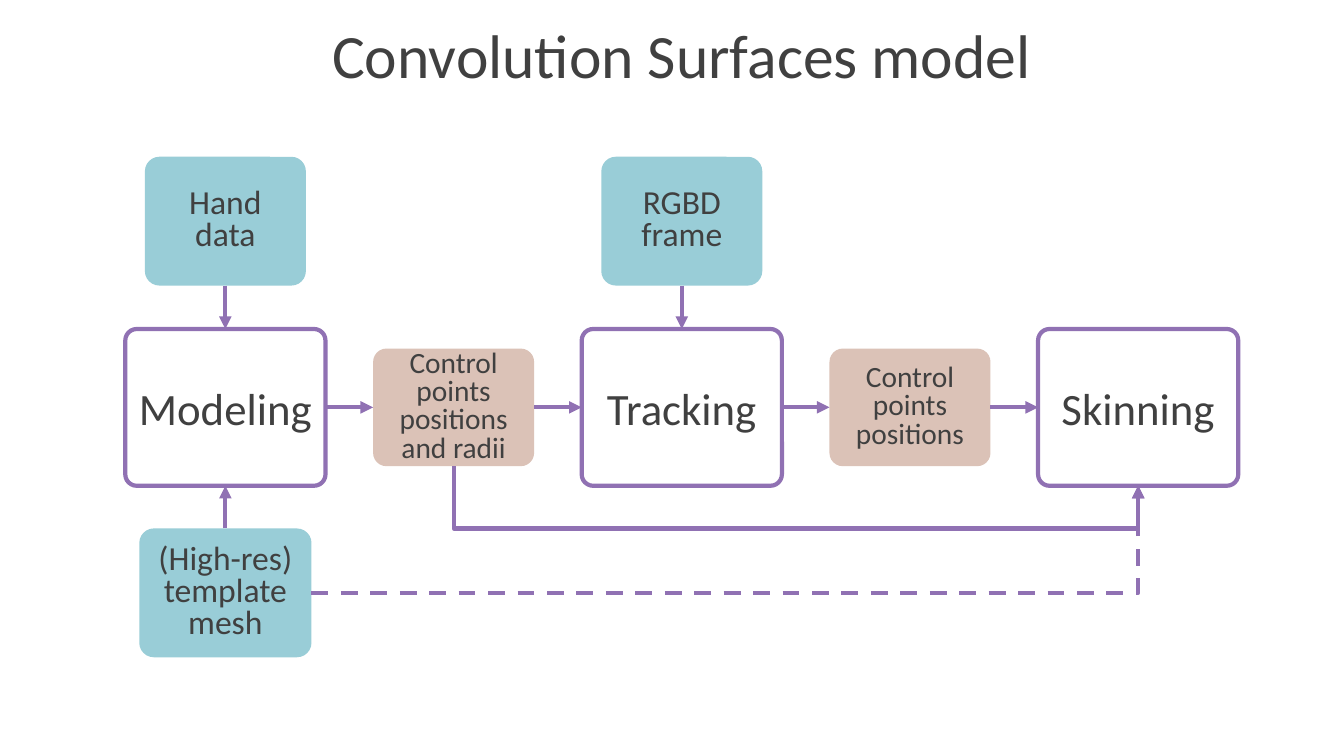
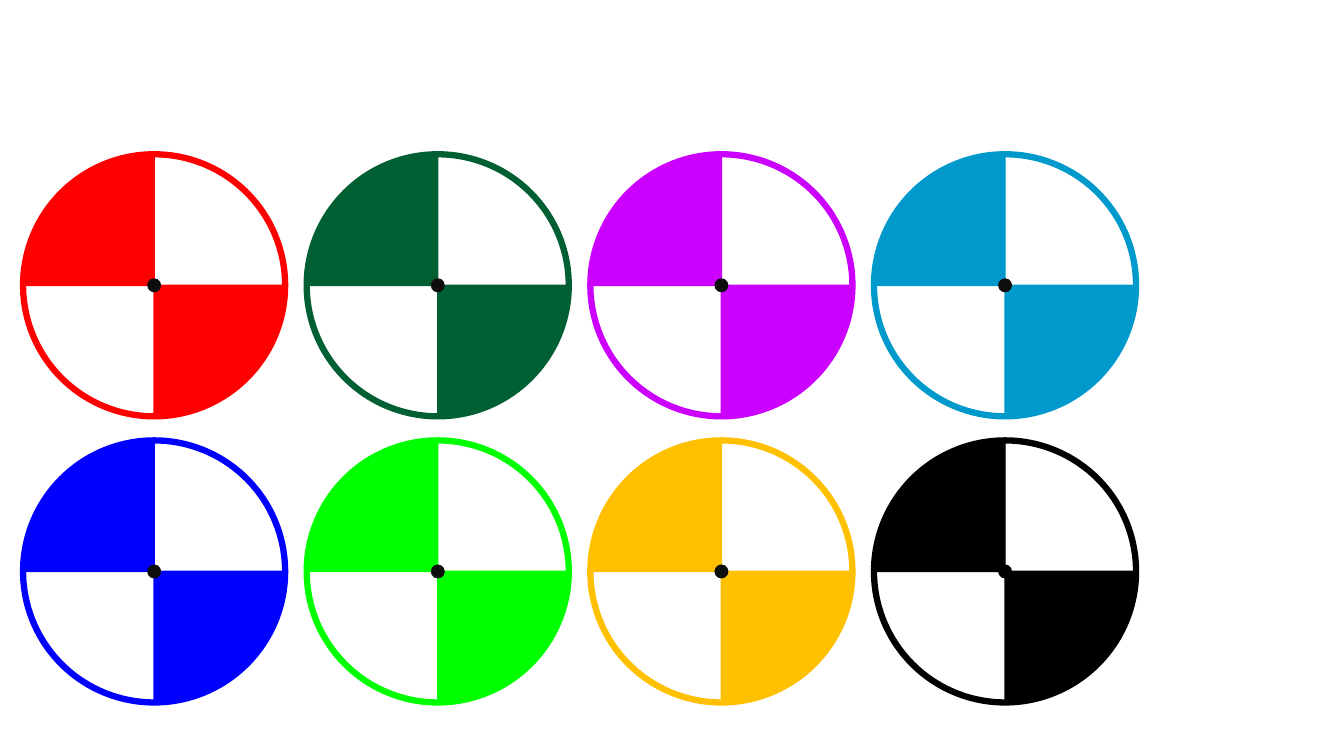
"""Build a flow chart slide of a hand model and a slide of eight colour wheels."""
import dataclasses
import typing

import lxml.etree
import pptx
import pptx.dml.color
import pptx.enum.dml
import pptx.enum.shapes
import pptx.enum.text
import pptx.oxml.ns
import pptx.util

Pt = pptx.util.Pt
qn = pptx.oxml.ns.qn
KIND = pptx.enum.shapes.MSO_SHAPE
WIRE = pptx.enum.shapes.MSO_CONNECTOR
FONT = "Calibri"
INK = {
    "text": "404040", "edge": "9071B3", "white": "FFFFFF",
    "data": "99CDD7", "points": "DBC2B7", "dot": "0D0D0D",
    "red": "FF0000", "pine": "015F34", "purple": "CC00FF", "azure": "0099CC",
    "blue": "0000FF", "lime": "00FF00", "amber": "FFC000", "black": "000000",
}
TOP, LEFT, BOTTOM, RIGHT = range(4)


@dataclasses.dataclass(frozen=True)
class Style:
    width: float
    height: float
    fill: str
    size: float
    round: float = 0.113
    pitch: float = 0.8
    edge: str | None = None


@dataclasses.dataclass(frozen=True)
class Node:
    name: str
    text: str
    style: Style
    col: int
    mid: float


@dataclasses.dataclass(frozen=True)
class Link:
    start: str
    out: int
    end: str
    into: int


STEP = Style(143, 112, "white", 32, 0.073, 1, "edge")
DATA = Style(115, 92, "data", 24)
MESH = dataclasses.replace(DATA, width=123)
POINT = Style(115, 84, "points", 21)
COL, PITCH = 161, 163
HIGH, MID, LOW = 158, 291, 423.5
NODES = [
    Node("model", "Modeling", STEP, 0, MID),
    Node("track", "Tracking", STEP, 2, MID),
    Node("skin", "Skinning", STEP, 4, MID),
    Node("mesh", "(High-res) template mesh", MESH, 0, LOW),
    Node("hand", "Hand data", DATA, 0, HIGH),
    Node("radii", "Control points positions and radii", POINT, 1, MID),
    Node("places", "Control points positions", POINT, 3, MID),
    Node("frame", "RGBD frame", DATA, 2, HIGH),
]
CHAIN = ["model", "radii", "track", "places", "skin"]
LINKS = [
    Link("hand", BOTTOM, "model", TOP),
    Link("mesh", TOP, "model", BOTTOM),
    Link("frame", BOTTOM, "track", TOP),
    *(Link(a, RIGHT, b, LEFT) for a, b in zip(CHAIN, CHAIN[1:])),
]
WHEELS = [["red", "pine", "purple", "azure"], ["blue", "lime", "amber", "black"]]


def tint(name: str) -> pptx.dml.color.RGBColor:
    return pptx.dml.color.RGBColor.from_string(INK[name])


def write(frame: typing.Any, text: str, size: float, pitch: float) -> None:
    frame.word_wrap = True
    frame.vertical_anchor = pptx.enum.text.MSO_ANCHOR.MIDDLE
    para = frame.paragraphs[0]
    para.alignment = pptx.enum.text.PP_ALIGN.CENTER
    para.line_spacing = pitch
    run = para.add_run()
    run.text = text
    run.font.name = FONT
    run.font.size = Pt(size)
    run.font.color.rgb = tint("text")


def draw(shapes: typing.Any, kind: KIND, x: float, y: float, width: float, height: float,
         fill: str | None = None, edge: str | None = None, weight: float = 1) -> typing.Any:
    shape = shapes.add_shape(kind, Pt(x), Pt(y), Pt(width), Pt(height))
    shape.shadow.inherit = False
    if fill:
        shape.fill.solid()
        shape.fill.fore_color.rgb = tint(fill)
    else:
        shape.fill.background()
    if edge:
        shape.line.color.rgb = tint(edge)
        shape.line.width = Pt(weight)
    else:
        shape.line.fill.background()
    return shape


def place(shapes: typing.Any, node: Node) -> typing.Any:
    style = node.style
    x = COL + PITCH * node.col - style.width / 2
    y = node.mid - style.height / 2
    box = draw(shapes, KIND.ROUNDED_RECTANGLE, x, y, style.width, style.height,
               style.fill, style.edge, 3)
    box.adjustments[0] = style.round
    write(box.text_frame, node.text, style.size, style.pitch)
    return box


def join(shapes: typing.Any, boxes: dict[str, typing.Any], link: Link,
         kind: WIRE = WIRE.STRAIGHT, dash: bool = False) -> typing.Any:
    wire = shapes.add_connector(kind, 0, 0, 0, 0)
    wire.begin_connect(boxes[link.start], link.out)
    wire.end_connect(boxes[link.end], link.into)
    wire.line.color.rgb = tint("edge")
    wire.line.width = Pt(3)
    if dash:
        wire.line.dash_style = pptx.enum.dml.MSO_LINE.DASH
    props = wire._element.spPr
    lxml.etree.SubElement(props.find(qn("a:ln")), qn("a:tailEnd"), type="triangle")
    lxml.etree.SubElement(props, qn("a:effectLst"))
    return wire


def dip(wire: typing.Any, level: float) -> None:
    """Turn an elbow so that it drops to a level, runs right and climbs."""
    x, y, width, height = wire.left, wire.top, wire.width, wire.height
    wire.left = x + (width - height) // 2
    wire.top = y + (height - width) // 2
    wire.width, wire.height = height, width
    props = wire._element.spPr
    props.xfrm.set("rot", str(270 * 60000))
    props.xfrm.set("flipH", "1")
    bend = round((Pt(level) - y) / height * 100000)
    guides = props.find(qn("a:prstGeom")).find(qn("a:avLst"))
    lxml.etree.SubElement(guides, qn("a:gd"), name="adj1", fmla=f"val {bend}")


def chart(shapes: typing.Any) -> None:
    boxes = {node.name: place(shapes, node) for node in NODES}
    for link in LINKS:
        join(shapes, boxes, link)
    dip(join(shapes, boxes, Link("radii", BOTTOM, "skin", BOTTOM), WIRE.ELBOW), 377.5)
    title = shapes.add_textbox(Pt(73), Pt(7), Pt(828), Pt(70))
    write(title.text_frame, "Convolution Surfaces model", 44, 0.9)
    wire = join(shapes, boxes, Link("mesh", RIGHT, "skin", BOTTOM), WIRE.ELBOW, True)
    wire._element.spPr.find(qn("a:prstGeom")).set("prst", "bentConnector2")


def wheel(shapes: typing.Any, x: float, y: float, hue: str) -> None:
    size, dot = 187.2, 10
    group = shapes.add_group_shape().shapes
    for turn in (0, 180):
        slice = draw(group, KIND.PIE, x, y, size, size, hue, hue)
        slice.adjustments[0] = 0
        slice.adjustments[1] = 54
        slice.rotation = turn
    draw(group, KIND.OVAL, x, y, size, size, None, hue, 4.5)
    inset = (size - dot) / 2
    draw(group, KIND.OVAL, x + inset, y + inset, dot, dot,
         "black" if hue == "black" else "dot")


def main() -> None:
    deck = pptx.Presentation()
    deck.slide_width, deck.slide_height = Pt(960), Pt(540)
    blank = deck.slide_layouts[6]
    chart(deck.slides.add_slide(blank).shapes)
    shapes = deck.slides.add_slide(blank).shapes
    for row, hues in enumerate(WHEELS):
        for col, hue in enumerate(hues):
            wheel(shapes, 16.5 + 202.6 * col, 110.2 + 204.4 * row, hue)
    deck.save("out.pptx")


if __name__ == "__main__":
    main()
